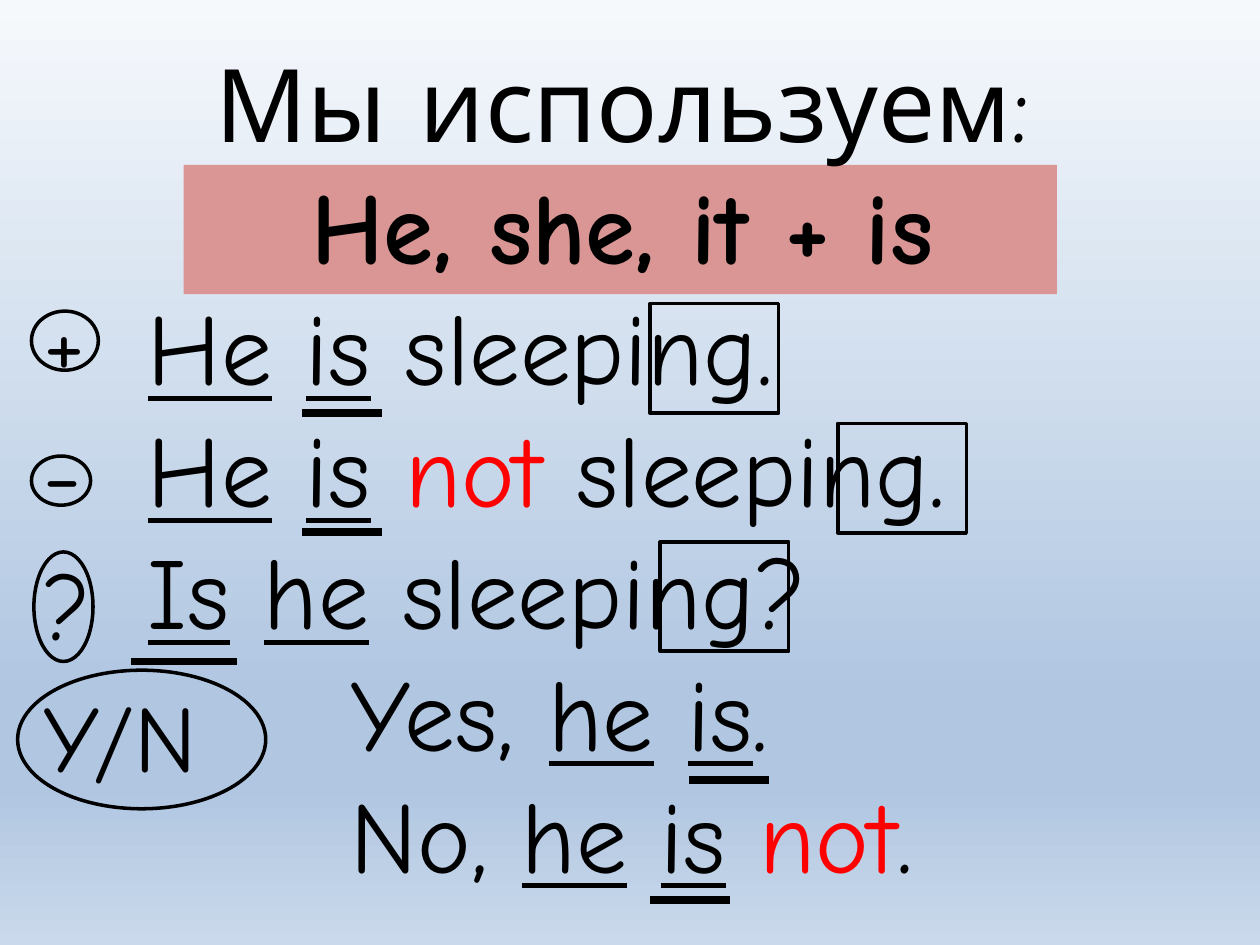
"""Build a grammar slide on the present continuous with he, she and it."""
from dataclasses import dataclass

from lxml import etree
from pptx import Presentation
from pptx.dml.color import RGBColor
from pptx.enum.shapes import MSO_CONNECTOR, MSO_SHAPE
from pptx.enum.text import MSO_AUTO_SIZE, PP_ALIGN
from pptx.oxml import parse_xml
from pptx.oxml.ns import nsdecls, qn
from pptx.util import Pt

LEFT, MID = PP_ALIGN.LEFT, PP_ALIGN.CENTER
OVAL, RECT = MSO_SHAPE.OVAL, MSO_SHAPE.RECTANGLE
LINE = MSO_CONNECTOR.STRAIGHT


@dataclass
class Theme:
    font: str = "Comic Neue"
    ink: str = "000000"
    red: str = "FF0000"
    band: str = "D99694"
    sky: tuple = ((0, "F6F9FC"), (74, "B0C6E1"), (83, "B0C6E1"), (100, "CAD9EB"))
    big: int = 58
    mark: int = 54
    thin: float = 2
    thick: float = 4.5


theme = Theme()


def write(par, text, size=theme.big, bold=False, under=False, color=theme.ink):
    """Add a run of text to a paragraph."""
    run = par.add_run()
    run.text = text
    font = run.font
    font.name, font.size = theme.font, Pt(size)
    font.bold, font.underline = bold, under
    font.color.rgb = RGBColor.from_string(color)


deck = Presentation()
deck.slide_width, deck.slide_height = Pt(720), Pt(540)
slide = deck.slides.add_slide(deck.slide_layouts[6])
shapes = slide.shapes

stops = "".join(
    f'<a:gs pos="{pos * 1000}"><a:srgbClr val="{tone}"/></a:gs>'
    for pos, tone in theme.sky
)
back = parse_xml(
    f'<p:bg {nsdecls("p", "a")}><p:bgPr><a:gradFill><a:gsLst>{stops}</a:gsLst>'
    '<a:lin ang="5400000" scaled="0"/></a:gradFill><a:effectLst/></p:bgPr></p:bg>'
)
slide.element.cSld.insert(0, back)

band = shapes.add_shape(RECT, Pt(105), Pt(94.3), Pt(499), Pt(73.8))
band.shadow.inherit = False
band.fill.solid()
band.fill.fore_color.rgb = RGBColor.from_string(theme.band)
band.line.fill.background()

marks = shapes.add_textbox(Pt(18), Pt(157), Pt(680.4), Pt(272)).text_frame
marks.word_wrap = True
for num, sign in enumerate(("+", "-", "?", "Y/N")):
    par = marks.add_paragraph() if num else marks.paragraphs[0]
    if num:
        par.space_before = Pt(10.8)
    write(par, sign, size=theme.mark)

plain, sub, red = {}, {"under": True}, {"color": theme.red}
he, verb, gap = ("he", sub), ("is", sub), (" ", plain)
rows = (
    (MID, 0, [("Мы используем:", plain)]),
    (MID, 0, [("He, she, it + is", {"bold": True})]),
    (LEFT, 77.4, [("He", sub), gap, verb, (" sleeping.", plain)]),
    (LEFT, 77.4, [("He", sub), gap, verb, gap, ("not", red), (" sleeping.", plain)]),
    (LEFT, 77.4, [("Is", sub), gap, he, (" sleeping?", plain)]),
    (LEFT, 193.4, [("Yes, ", plain), he, gap, verb, (".", plain)]),
    (LEFT, 193.4, [("No, ", plain), he, gap, verb, gap, ("not", red), (".", plain)]),
)
body = shapes.add_textbox(0, Pt(9.4), Pt(711.4), Pt(509.8)).text_frame
body.word_wrap = True
body.auto_size = MSO_AUTO_SIZE.SHAPE_TO_FIT_TEXT
for num, (align, dent, parts) in enumerate(rows):
    par = body.add_paragraph() if num else body.paragraphs[0]
    par.alignment = align
    par._p.get_or_add_pPr().set("marL", str(Pt(dent)))
    for text, look in parts:
        write(par, text, **look)
body.paragraphs[0].line_spacing = 1.15

rings = (
    (18, 177.8, 38.2, 33.8),
    (18, 260.6, 33.8, 28.1),
    (19.4, 315.4, 33.8, 62.6),
    (10.1, 383, 141.8, 79.2),
)
boxes = [(x, y, 73.4, 62.6) for x, y in ((371.5, 173.5), (478.8, 241.9), (377.3, 309.6))]
for kind, group in ((OVAL, rings), (RECT, boxes)):
    for place in group:
        frame = shapes.add_shape(kind, *map(Pt, place))
        frame.shadow.inherit = False
        frame.fill.background()
        frame.line.color.rgb = RGBColor.from_string(theme.ink)
        frame.line.width = Pt(theme.thin)

bars = (
    (172.8, 236.2, 45.4),
    (172.8, 303.8, 45.4),
    (74.9, 378, 60.5),
    (393.8, 445.7, 45.4),
    (371.5, 514.1, 45.4),
)
for x, y, wide in bars:
    bar = shapes.add_connector(LINE, Pt(x), Pt(y), Pt(x + wide), Pt(y))
    bar.line.color.rgb = RGBColor.from_string(theme.ink)
    bar.line.width = Pt(theme.thick)
    etree.SubElement(bar._element.spPr, qn("a:effectLst"))

deck.save("out.pptx")
